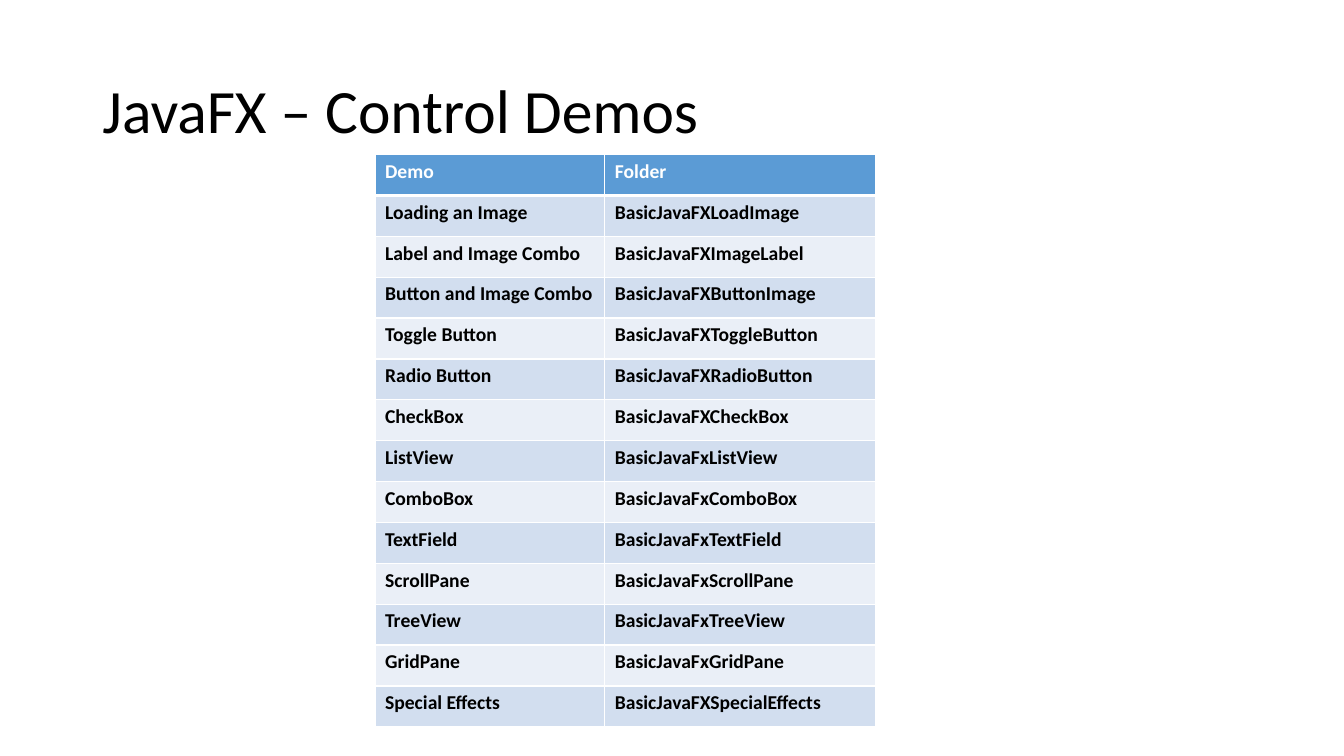
"""Build the JavaFX control demos slide."""
from lxml import etree
from pptx import Presentation
from pptx.dml.color import RGBColor
from pptx.enum.text import MSO_ANCHOR, PP_ALIGN
from pptx.oxml.ns import qn
from pptx.util import Pt

LEFT = PP_ALIGN.LEFT
TOP = MSO_ANCHOR.TOP
MIDDLE = MSO_ANCHOR.MIDDLE

TITLE = "JavaFX – Control Demos"
DEMOS = [
    ("Demo", "Folder"),
    ("Loading an Image", "BasicJavaFXLoadImage"),
    ("Label and Image Combo", "BasicJavaFXImageLabel"),
    ("Button and Image Combo", "BasicJavaFXButtonImage"),
    ("Toggle Button", "BasicJavaFXToggleButton"),
    ("Radio Button", "BasicJavaFXRadioButton"),
    ("CheckBox", "BasicJavaFXCheckBox"),
    ("ListView", "BasicJavaFxListView"),
    ("ComboBox", "BasicJavaFxComboBox"),
    ("TextField", "BasicJavaFxTextField"),
    ("ScrollPane", "BasicJavaFxScrollPane"),
    ("TreeView", "BasicJavaFxTreeView"),
    ("GridPane", "BasicJavaFxGridPane"),
    ("Special Effects", "BasicJavaFXSpecialEffects"),
]
FONT = "Calibri"
BLACK, WHITE = "000000", "FFFFFF"
HEADER_FILL = "5B9BD5"
BAND_FILLS = ("EAEFF7", "D2DEEF")
COLUMN_WIDTHS = (164.16, 193.68)
ROW_HEIGHT = 29.2
TABLE_LEFT, TABLE_TOP = 267.84, 110.4


def color(value):
    """Turn a hex string into a colour."""
    return RGBColor.from_string(value)


def write(frame, text, size, ink=BLACK, bold=False, spacing=1.0):
    """Write one left-aligned paragraph into a text frame."""
    paragraph = frame.paragraphs[0]
    paragraph.alignment = LEFT
    paragraph.line_spacing = spacing
    run = paragraph.add_run()
    run.text = text
    run.font.name = FONT
    run.font.size = Pt(size)
    run.font.bold = bold
    run.font.color.rgb = color(ink)


def add_borders(cell, **widths):
    """Draw white borders, given as widths by side in schema order."""
    properties = cell._tc.get_or_add_tcPr()
    for side, width in widths.items():
        border = etree.SubElement(properties, qn(f"a:ln{side}"), w=str(Pt(width)))
        fill = etree.SubElement(border, qn("a:solidFill"))
        etree.SubElement(fill, qn("a:srgbClr"), val=WHITE)


def add_title(slide):
    """Place and fill the title placeholder."""
    title = slide.shapes.title
    title.left, title.top, title.width, title.height = map(Pt, (66, 28.8, 828, 104.4))
    title.text_frame.vertical_anchor = MIDDLE
    write(title.text_frame, TITLE, 44, spacing=0.9)


def add_demo_table(slide):
    """Add the banded table of demos and their folders."""
    table = slide.shapes.add_table(
        len(DEMOS), len(COLUMN_WIDTHS), Pt(TABLE_LEFT), Pt(TABLE_TOP),
        Pt(sum(COLUMN_WIDTHS)), Pt(ROW_HEIGHT * len(DEMOS))).table
    for column, width in zip(table.columns, COLUMN_WIDTHS):
        column.width = Pt(width)
    for row_index, demo in enumerate(DEMOS):
        table.rows[row_index].height = Pt(ROW_HEIGHT)
        is_header = row_index == 0
        for column_index, label in enumerate(demo):
            cell = table.cell(row_index, column_index)
            cell.vertical_anchor = TOP
            add_borders(cell, L=1, R=1, T=3 if row_index == 1 else 1,
                        B=3 if is_header else 1)
            cell.fill.solid()
            cell.fill.fore_color.rgb = color(
                HEADER_FILL if is_header else BAND_FILLS[row_index % 2])
            write(cell.text_frame, label, 14, WHITE if is_header else BLACK, bold=True)


deck = Presentation()
deck.slide_width, deck.slide_height = Pt(960), Pt(540)
demo_slide = deck.slides.add_slide(deck.slide_layouts[5])
add_title(demo_slide)
add_demo_table(demo_slide)
deck.save("out.pptx")
